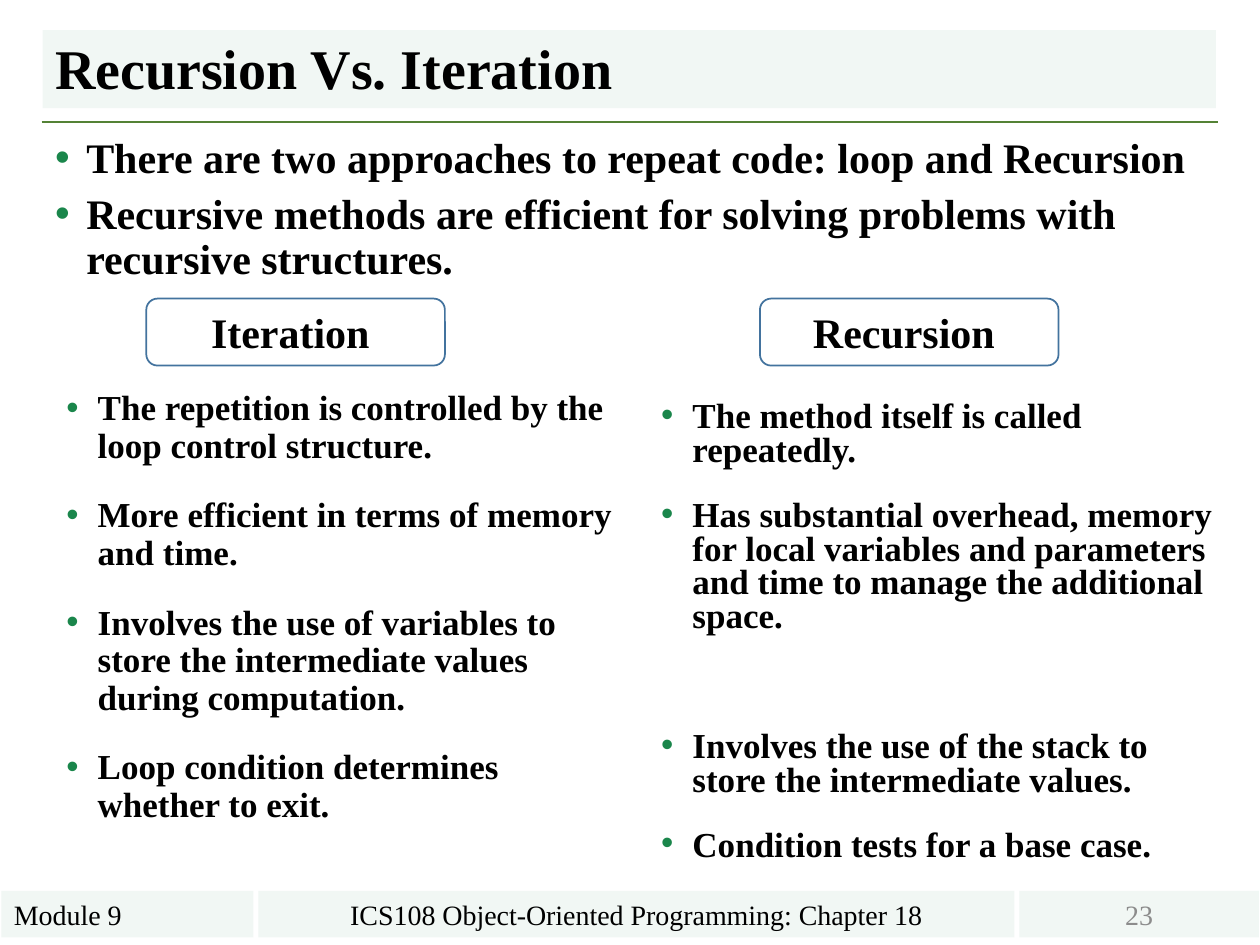
"""Build the slide that compares recursion with iteration."""
from dataclasses import dataclass
from typing import Optional

from lxml import etree
from pptx import Presentation
from pptx import util as u
from pptx.dml.color import RGBColor
from pptx.enum import shapes, text
from pptx.oxml import ns

HUES = {
    "ink": "000000",
    "pale": "F1F7F4",
    "rule": "548235",
    "edge": "43739E",
    "dot": "1A864B",
    "page": "8C8C8C",
}
FONT = "Times New Roman"
ALIGN = text.PP_ALIGN
ANCHOR = text.MSO_ANCHOR
KIND = shapes.MSO_SHAPE


@dataclass
class Box:
    """A shape with one line of text, placed in centimetres."""
    words: str
    left: float
    top: float
    width: float
    height: float
    size: int
    kind: int = KIND.RECTANGLE
    fill: Optional[str] = "pale"
    edge: Optional[str] = None
    ink: str = "ink"
    bold: bool = False
    align: int = ALIGN.CENTER
    anchor: int = ANCHOR.MIDDLE
    pitch: float = 1.0


@dataclass
class Points:
    """A bulleted list; gaps maps an item index to its own space before."""
    items: list[str]
    left: float
    top: float
    width: float
    height: float
    size: int
    pitch: float
    gap: int
    gaps: dict[int, int]


def hue(name: str) -> RGBColor:
    """Return a named colour."""
    return RGBColor.from_string(HUES[name])


def area(item) -> tuple:
    """Return the position and size of an item as lengths."""
    return tuple(u.Cm(n) for n in (item.left, item.top, item.width, item.height))


def write(para, words: str, size: int, ink: str, bold: bool) -> None:
    """Add one styled run to a paragraph."""
    run = para.add_run()
    run.text = words
    run.font.name = FONT
    run.font.size = u.Pt(size)
    run.font.bold = bold
    run.font.color.rgb = hue(ink)


def draw_box(slide, box: Box) -> None:
    """Draw a shape with its text."""
    shape = slide.shapes.add_shape(box.kind, *area(box))
    shape.shadow.inherit = False
    if box.fill:
        shape.fill.solid()
        shape.fill.fore_color.rgb = hue(box.fill)
    else:
        shape.fill.background()
    if box.edge:
        shape.line.color.rgb = hue(box.edge)
        shape.line.width = u.Pt(1)
    else:
        shape.line.fill.background()
    frame = shape.text_frame
    frame.word_wrap = True
    frame.vertical_anchor = box.anchor
    para = frame.paragraphs[0]
    para.alignment = box.align
    para.line_spacing = box.pitch
    write(para, box.words, box.size, box.ink, box.bold)


def add_dot(para) -> None:
    """Give a paragraph a hanging indent and a coloured bullet."""
    props = para._p.get_or_add_pPr()
    props.set("marL", str(u.Cm(0.63)))
    props.set("indent", str(u.Cm(-0.63)))
    tint = etree.SubElement(props, ns.qn("a:buClr"))
    etree.SubElement(tint, ns.qn("a:srgbClr"), val=HUES["dot"])
    etree.SubElement(props, ns.qn("a:buFont"), typeface="Arial")
    etree.SubElement(props, ns.qn("a:buChar"), char="•")


def draw_points(slide, points: Points) -> None:
    """Draw a bulleted list."""
    frame = slide.shapes.add_textbox(*area(points)).text_frame
    frame.word_wrap = True
    for i, words in enumerate(points.items):
        para = frame.add_paragraph() if i else frame.paragraphs[0]
        para.line_spacing = points.pitch
        para.space_before = u.Pt(points.gaps.get(i, points.gap))
        add_dot(para)
        write(para, words, points.size, "ink", True)


def draw_rule(slide, left: float, right: float, top: float) -> None:
    """Draw the line under the title."""
    rule = slide.shapes.add_connector(
        shapes.MSO_CONNECTOR.STRAIGHT, u.Cm(left), u.Cm(top), u.Cm(right), u.Cm(top))
    rule.line.color.rgb = hue("rule")
    rule.line.width = u.Pt(1.5)
    etree.SubElement(rule._element.spPr, ns.qn("a:effectLst"))


def head(words: str, left: float) -> Box:
    """Return a column heading."""
    return Box(words, left, 6.02, 6.02, 1.35, 24, KIND.ROUNDED_RECTANGLE,
               None, "edge", bold=True)


def foot(words: str, left: float, width: float, **style) -> Box:
    """Return a footer cell."""
    return Box(words, left, 17.96, width, 0.94, 16, **style)


BOXES = [
    foot("ICS108 Object-Oriented Programming: Chapter 18", 5.21, 15.24),
    foot("Module 9", 0.03, 5.08, align=ALIGN.LEFT),
    foot("23", 20.55, 4.83, ink="page"),
    Box("Recursion Vs. Iteration", 0.86, 0.61, 23.65, 1.57, 32, bold=True,
        align=ALIGN.LEFT, anchor=ANCHOR.BOTTOM, pitch=0.9),
    head("Recursion ", 15.32),
    head("Iteration ", 2.95),
]
LISTS = [
    Points([
        "There are two approaches to repeat code: loop and Recursion",
        "Recursive methods are efficient for solving problems with recursive structures.",
    ], 0.86, 2.64, 23.72, 3.15, 24, 0.9, 6, {}),
    Points([
        "The repetition is controlled by the loop control structure.",
        "More efficient in terms of memory and time.",
        "Involves the use of variables to store the intermediate values during computation.",
        "Loop condition determines whether to exit.",
    ], 1.09, 7.75, 11.76, 10.19, 20, 0.9, 18, {}),
    Points([
        "The method itself is called repeatedly.",
        "Has substantial overhead, memory for local variables and parameters "
        "and time to manage the additional space.",
        "Involves the use of the stack to store the intermediate values.",
        "Condition tests for a base case.",
    ], 13.08, 7.98, 11.71, 9.75, 20, 0.8, 18, {2: 55}),
]


def main() -> None:
    """Build and save the slide."""
    deck = Presentation()
    deck.slide_width, deck.slide_height = u.Cm(25.4), u.Cm(19.05)
    slide = deck.slides.add_slide(deck.slide_layouts[6])
    draw_rule(slide, 0.84, 24.56, 2.46)
    for box in BOXES:
        draw_box(slide, box)
    for points in LISTS:
        draw_points(slide, points)
    deck.save("out.pptx")


if __name__ == "__main__":
    main()
